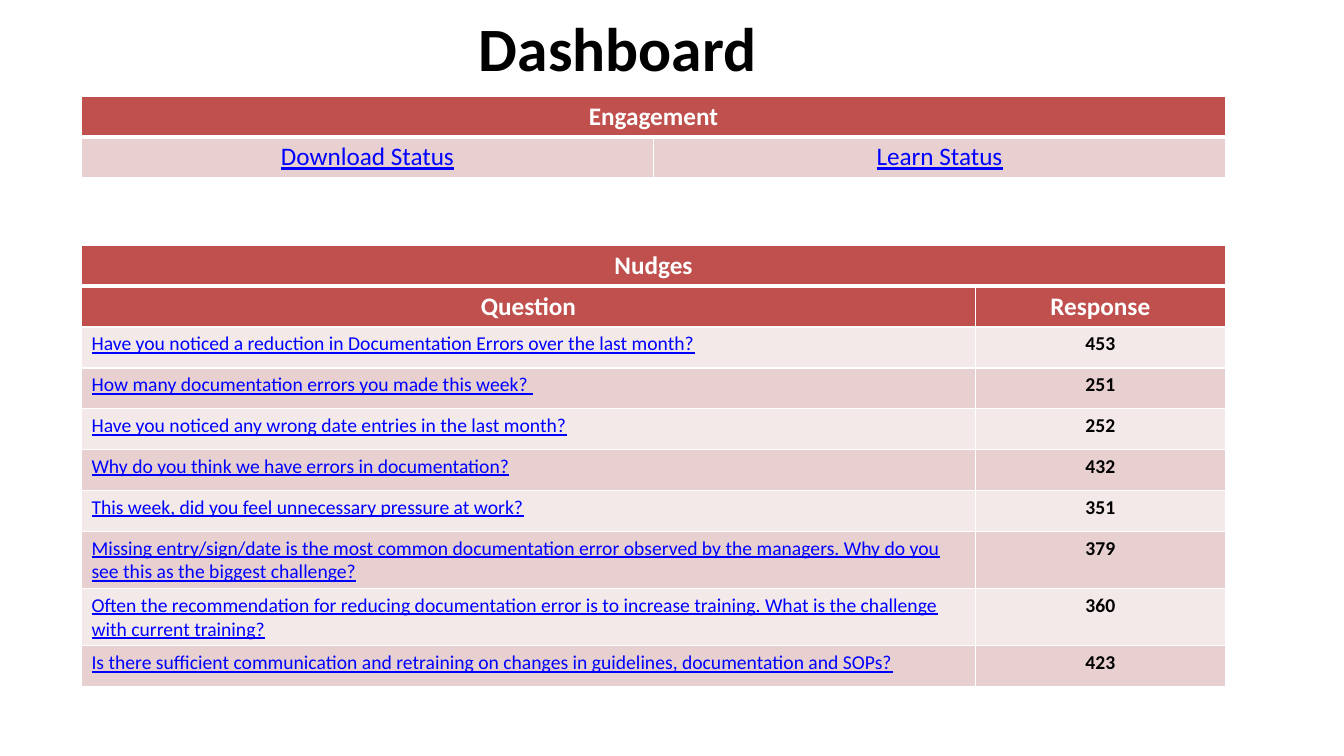
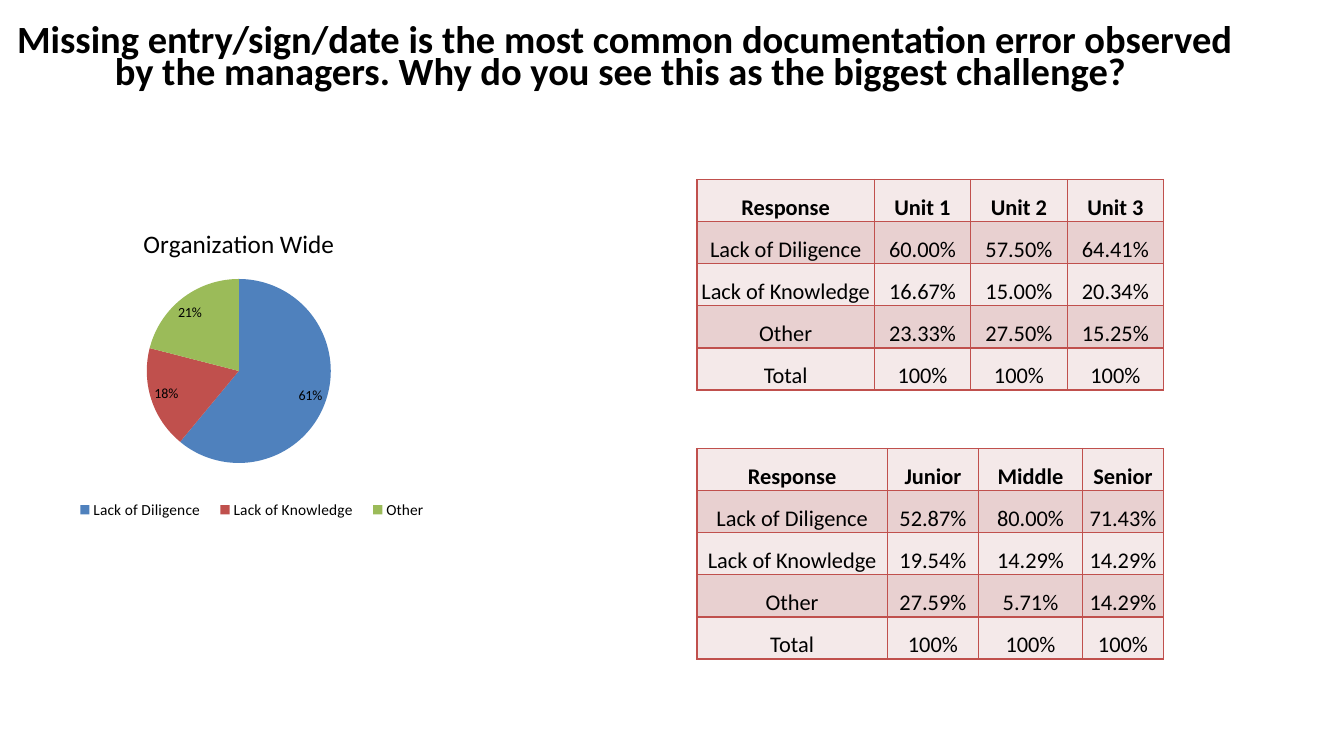
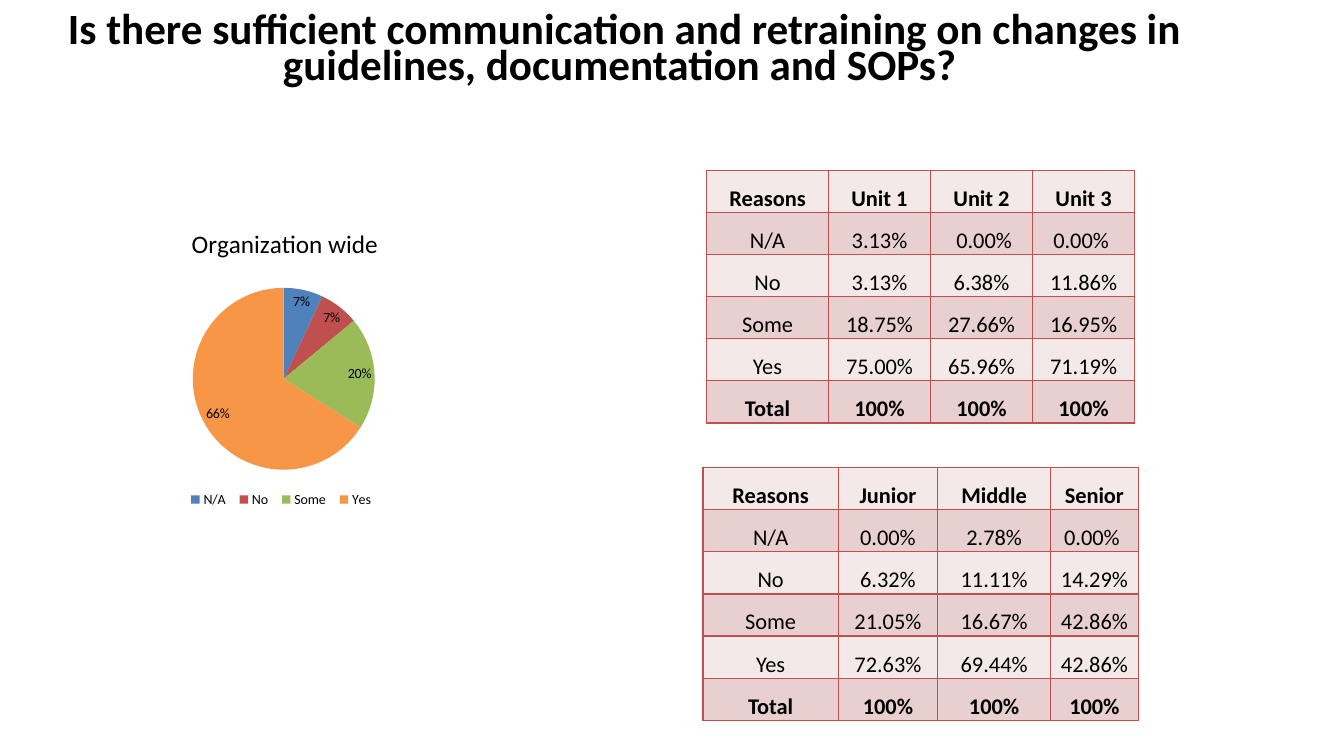
from lxml.etree import SubElement
from pptx import Presentation
from pptx.chart.data import CategoryChartData
from pptx.dml.color import RGBColor
from pptx.enum.chart import XL_CHART_TYPE, XL_LABEL_POSITION, XL_LEGEND_POSITION
from pptx.enum.text import MSO_ANCHOR, PP_ALIGN
from pptx.oxml import parse_xml
from pptx.oxml.ns import nsdecls, qn
from pptx.util import Pt

FONT = "Calibri"
BLACK, WHITE, LINK = "000000", "FFFFFF", "0000FF"
RED, PINK, PALE = "C0504D", "E8D0D0", "F4E9E9"
SLICES = ["4F81BD", RED, "9BBB59", "F79646"]
TIGHT = {"margin_left": Pt(0.7), "margin_right": Pt(0.7),
         "margin_top": Pt(0.7), "margin_bottom": Pt(0)}

# Text formats
HEADER = {"size": 18, "color": WHITE, "bold": True}
BIG_LINK = {"size": 18, "color": LINK, "underline": True}
SMALL_LINK = {"size": 14, "color": LINK, "underline": True}
COUNT = {"size": 14, "bold": True}


def rgb(value):
    return RGBColor.from_string(value)


def apply(obj, **values):
    for name, value in values.items():
        setattr(obj, name, value)


def set_font(font, size, color=BLACK, bold=False, underline=False):
    apply(font, name=FONT, size=Pt(size), bold=bold, underline=underline)
    font.color.rgb = rgb(color)


def place(element, inner=False, **fractions):
    """Give a chart part a fixed place, in fractions of the chart."""
    for old in element.findall(qn("c:layout")):
        element.remove(old)
    modes = [("layoutTarget", "inner")] if inner else []
    modes += [("xMode", "edge"), ("yMode", "edge")]
    layout = parse_xml(f"<c:layout {nsdecls('c')}><c:manualLayout/></c:layout>")
    for tag, value in modes + list(fractions.items()):
        SubElement(layout[0], qn(f"c:{tag}"), val=str(value))
    overlay = element.find(qn("c:overlay"))
    if overlay is None:
        element.insert(0, layout)
    else:
        overlay.addprevious(layout)


class Deck:
    def __init__(self):
        self.prs = Presentation()
        apply(self.prs, slide_width=Pt(960), slide_height=Pt(540))
        self.s = None

    def slide(self, title, size, height=63.4, spacing=0.7):
        self.s = self.prs.slides.add_slide(self.prs.slide_layouts[6])
        tf = self.s.shapes.add_textbox(Pt(0), Pt(5), Pt(892.8), Pt(height)).text_frame
        apply(tf, word_wrap=True, vertical_anchor=MSO_ANCHOR.MIDDLE)
        p = tf.paragraphs[0]
        apply(p, alignment=PP_ALIGN.CENTER, line_spacing=spacing, space_after=Pt(6))
        r = p.add_run()
        r.text = title
        set_font(r.font, size, bold=True)

    def table(self, left, top, widths, row_count, row_height):
        frame = self.s.shapes.add_table(row_count, len(widths), Pt(left), Pt(top),
                                        Pt(sum(widths)), Pt(row_height * row_count))
        table = frame.table
        apply(table, first_row=False, horz_banding=False)
        for column, width in zip(table.columns, widths):
            column.width = Pt(width)
        return table

    def cell(self, cell, text, fill, fmt, line=WHITE, align=PP_ALIGN.CENTER,
             spacing=None, margins=None, heavy=""):
        # Borders come before the fill in the cell properties
        tc_pr = cell._tc.get_or_add_tcPr()
        for side in "LRTB":
            width = Pt(3 if side == heavy else 1)
            ln = SubElement(tc_pr, qn(f"a:ln{side}"), w=str(width))
            solid = SubElement(ln, qn("a:solidFill"))
            SubElement(solid, qn("a:srgbClr"), val=line)
        cell.fill.solid()
        cell.fill.fore_color.rgb = rgb(fill)
        apply(cell, **(margins or {}))
        if text:
            p = cell.text_frame.paragraphs[0]
            apply(p, alignment=align, line_spacing=spacing)
            r = p.add_run()
            r.text = text
            set_font(r.font, **fmt)

    def banner(self, table, text):
        """Header across the first row, set off by a heavy rule."""
        for i, cell in enumerate(table.rows[0].cells):
            self.cell(cell, "" if i else text, RED, HEADER, heavy="B")
        table.cell(0, 0).merge(table.cell(0, len(table.columns) - 1))

    def stats(self, left, top, widths, lines, bold_rows=(0,)):
        table = self.table(left, top, widths, len(lines), 30.1)
        for i, line in enumerate(lines):
            fmt = {"size": 16, "bold": i in bold_rows}
            for cell, text in zip(table.rows[i].cells, line.split("|")):
                self.cell(cell, text, PINK if i % 2 else PALE, fmt, line=RED,
                          spacing=1.5, margins=TIGHT)

    def pie(self, box, title, shares, plot_top, title_x, legend_box, legend_size):
        data = CategoryChartData()
        data.categories = list(shares)
        data.add_series("Series 1", list(shares.values()))
        chart = self.s.shapes.add_chart(XL_CHART_TYPE.PIE, *map(Pt, box), data).chart
        set_font(chart.font, 10)
        root = chart._chartSpace.find(qn("c:chart"))

        # Title
        chart.has_title = True
        tf = chart.chart_title.text_frame
        tf.text = title
        set_font(tf.paragraphs[0].runs[0].font, 18)
        place(root.find(qn("c:title")), x=title_x, y=0.03)

        # Legend
        chart.has_legend = True
        apply(chart.legend, position=XL_LEGEND_POSITION.TOP, include_in_layout=False)
        set_font(chart.legend.font, legend_size)
        place(root.find(qn("c:legend")), **dict(zip("xywh", legend_box)))

        # Slices and labels
        plot = chart.plots[0]
        plot.vary_by_categories = True
        plot.has_data_labels = True
        apply(plot.data_labels, show_percentage=True, show_value=False,
              number_format="0%", number_format_is_linked=False,
              position=XL_LABEL_POSITION.BEST_FIT)
        set_font(plot.data_labels.font, 10)
        for i, color in enumerate(SLICES[:len(shares)]):
            fill = plot.series[0].points[i].format.fill
            fill.solid()
            fill.fore_color.rgb = rgb(color)
        place(root.find(qn("c:plotArea")), inner=True, x=0.09, y=plot_top, w=0.82, h=0.55)


COMMON_ERROR = ("Missing entry/sign/date is the most common documentation error observed "
                "by the managers. Why do you see this as the biggest challenge?")
RETRAINING = ("Is there sufficient communication and retraining on changes in guidelines, "
              "documentation and SOPs?")
NUDGES = {
    "Have you noticed a reduction in Documentation Errors over the last month?": 453,
    "How many documentation errors you made this week? ": 251,
    "Have you noticed any wrong date entries in the last month?": 252,
    "Why do you think we have errors in documentation?": 432,
    "This week, did you feel unnecessary pressure at work?": 351,
    COMMON_ERROR: 379,
    "Often the recommendation for reducing documentation error is to increase training. "
    "What is the challenge with current training?": 360,
    RETRAINING: 423,
}


def dashboard(deck):
    deck.slide("Dashboard ", 44, spacing=0.9)

    # Engagement
    table = deck.table(58.2, 68.6, [408.6, 408.6], 2, 29.2)
    deck.banner(table, "Engagement")
    for cell, text in zip(table.rows[1].cells, ["Download Status", "Learn Status"]):
        deck.cell(cell, text, PINK, BIG_LINK, heavy="T")

    # Nudges
    table = deck.table(58.2, 175.2, [638.4, 178.8], len(NUDGES) + 2, 29.2)
    deck.banner(table, "Nudges")
    for cell, text in zip(table.rows[1].cells, ["Question", "Response"]):
        deck.cell(cell, text, RED, HEADER, heavy="T")
    for i, (question, count) in enumerate(NUDGES.items()):
        fill = PINK if i % 2 else PALE
        deck.cell(table.cell(i + 2, 0), question, fill, SMALL_LINK, align=PP_ALIGN.LEFT)
        deck.cell(table.cell(i + 2, 1), str(count), fill, COUNT)


def common_error(deck):
    deck.slide(COMMON_ERROR + " ", 27.5, height=75.6)
    deck.stats(497.9, 128.2, [126.6, 68.9, 68.9, 68.9], [
        "Response|Unit 1|Unit 2|Unit 3",
        "Lack of Diligence|60.00%|57.50%|64.41%",
        "Lack of Knowledge|16.67%|15.00%|20.34%",
        "Other|23.33%|27.50%|15.25%",
        "Total|100%|100%|100%",
    ])
    deck.pie((-17.3, 151.5, 375.8, 239), "Organization Wide",
             {"Lack of Diligence": 61, "Lack of Knowledge": 18, "Other": 21},
             plot_top=0.2, title_x=0.31, legend_box=(0.17, 0.85, 0.71, 0.08),
             legend_size=11)
    deck.stats(497.9, 320.4, [135.8, 65.4, 74, 58.1], [
        "Response|Junior|Middle|Senior",
        "Lack of Diligence|52.87%|80.00%|71.43%",
        "Lack of Knowledge|19.54%|14.29%|14.29%",
        "Other|27.59%|5.71%|14.29%",
        "Total|100%|100%|100%",
    ])


def retraining(deck):
    deck.slide(RETRAINING + " ", 30.8)
    deck.pie((10.8, 151.3, 383.8, 236.2), "Organization wide",
             {"N/A": 7, "No": 7, "Some": 20, "Yes": 66},
             plot_top=0.23, title_x=0.32, legend_box=(0.31, 0.83, 0.37, 0.08),
             legend_size=10)
    deck.stats(504.7, 121.7, [87.1, 72.9, 72.9, 72.9], [
        "Reasons|Unit 1|Unit 2|Unit 3",
        "N/A|3.13%| 0.00%|0.00% ",
        "No|3.13%|6.38%|11.86%",
        "Some|18.75%|27.66%|16.95%",
        "Yes|75.00%|65.96%|71.19%",
        "Total|100%|100%|100%",
    ], bold_rows=(0, 5))
    deck.stats(502.2, 334, [96.5, 71.1, 80.6, 62.7], [
        "Reasons|Junior|Middle|Senior",
        "N/A|0.00%|2.78%|0.00% ",
        "No|6.32%|11.11%|14.29%",
        "Some|21.05%|16.67%|42.86%",
        "Yes|72.63%|69.44%|42.86%",
        "Total|100%|100%|100%",
    ], bold_rows=(0, 5))


def main():
    deck = Deck()
    for build in (dashboard, common_error, retraining):
        build(deck)
    deck.prs.save("out.pptx")


if __name__ == "__main__":
    main()
